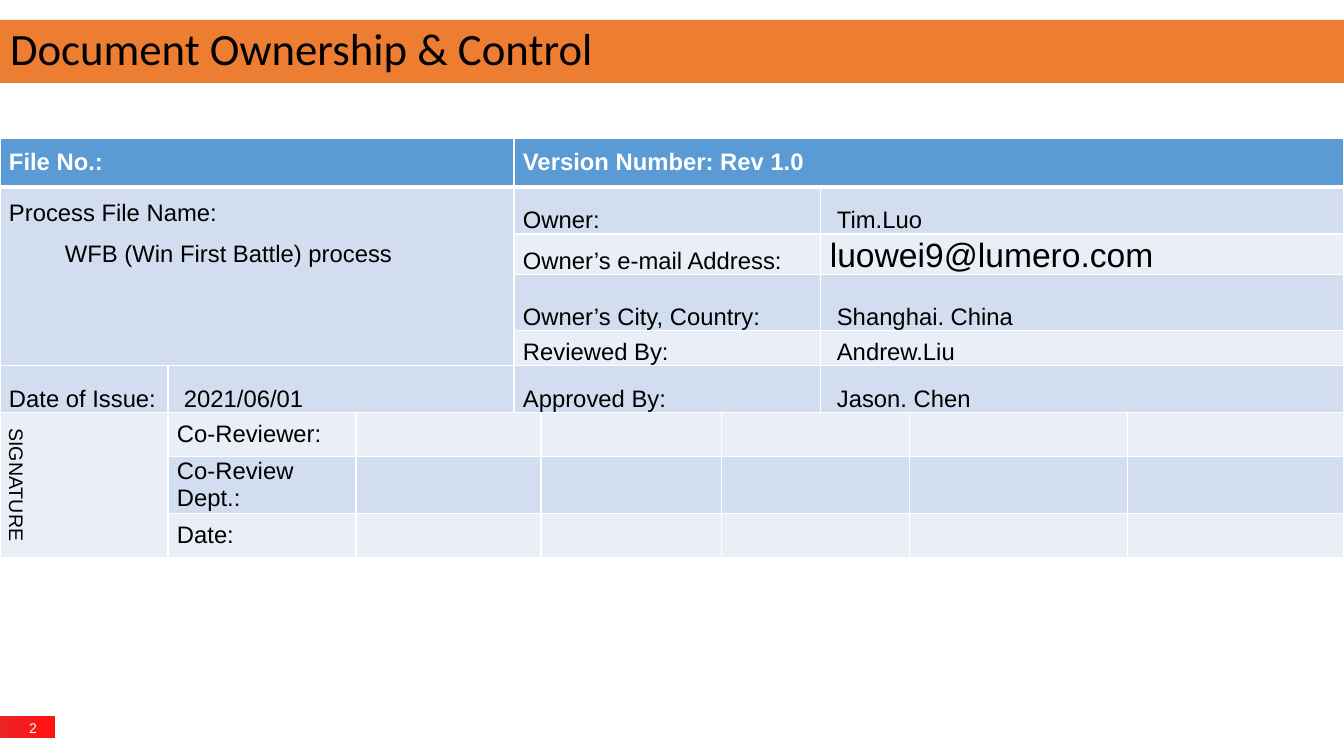
from dataclasses import dataclass
from lxml import etree
from pptx import Presentation
from pptx.dml.color import RGBColor
from pptx.enum.shapes import MSO_SHAPE
from pptx.enum.text import MSO_ANCHOR, MSO_AUTO_SIZE, PP_ALIGN
from pptx.oxml.ns import qn
from pptx.util import Pt

PX = 12192000 / 1344


@dataclass
class Theme:
    orange: str = "ED7D31"
    reds: tuple = ("EC2225", "FF1313")
    head: str = "5B9BD5"
    bands: tuple = ("EAEFF7", "D2DEEF")
    white: str = "FFFFFF"
    black: str = "000000"
    title: int = 32
    mail: int = 24
    body: int = 17
    side: int = 14
    page: int = 10


def px(n):
    return round(n * PX)


def write(para, text, size, color, font="Arial", bold=False):
    run = para.add_run()
    run.text = text
    run.font.size = Pt(size)
    run.font.name = font
    run.font.bold = bold
    run.font.color.rgb = RGBColor.from_string(color)


theme = Theme()
deck = Presentation()
deck.slide_width, deck.slide_height = px(1344), px(756)
slide = deck.slides.add_slide(deck.slide_layouts[5])
shapes = slide.shapes

# Title on its orange bar
bar = shapes.add_shape(MSO_SHAPE.RECTANGLE, 0, px(20), px(1344), px(63))
bar.shadow.inherit = False
bar.fill.solid()
bar.fill.fore_color.rgb = RGBColor.from_string(theme.orange)
bar.line.fill.background()
title = shapes.title
title._element.addprevious(bar._element)
title.left, title.top, title.width, title.height = 0, px(22), px(1148), px(58)
frame = title.text_frame
frame.auto_size = MSO_AUTO_SIZE.NONE
frame.vertical_anchor = MSO_ANCHOR.BOTTOM
para = frame.paragraphs[0]
para.alignment = PP_ALIGN.LEFT
para.line_spacing = 0.9
para.space_after = Pt(6)
write(para, "Document Ownership & Control", theme.title, theme.black, "Calibri")

# Page number on its red tab
tab = shapes.add_shape(MSO_SHAPE.RECTANGLE, 0, px(716), px(55), px(22))
tab.shadow.inherit = False
tab.fill.gradient()
tab.fill.gradient_angle = 0
for stop, color in zip(tab.fill.gradient_stops, theme.reds):
    stop.color.rgb = RGBColor.from_string(color)
tab.line.fill.background()
page = shapes.add_textbox(px(11), px(719), px(44), px(17))
frame = page.text_frame
frame.margin_left = frame.margin_right = px(13)
frame.margin_top = frame.margin_bottom = 0
frame.word_wrap = False
frame.vertical_anchor = MSO_ANCHOR.MIDDLE
para = frame.paragraphs[0]
para.alignment = PP_ALIGN.CENTER
write(para, "2", theme.page, theme.white)

# Control table
cols = [168, 188, 158, 27, 181, 99, 89, 218, 216]
rows = [49, 47, 37, 56, 35, 47, 44, 44, 44]
grid = shapes.add_table(len(rows), len(cols), 0, px(138), px(sum(cols)), px(sum(rows))).table
for col, wide in zip(grid.columns, cols):
    col.width = px(wide)
for row, high in zip(grid.rows, rows):
    row.height = px(high)

for r in range(len(rows)):
    for c in range(len(cols)):
        cell = grid.cell(r, c)
        cell.fill.solid()
        cell.fill.fore_color.rgb = RGBColor.from_string(theme.bands[r % 2] if r else theme.head)
        props = cell._tc.get_or_add_tcPr()
        for i, side in enumerate("LRTB"):
            thick = (r, side) in ((0, "B"), (1, "T"))
            line = etree.Element(qn(f"a:ln{side}"), w=str(Pt(3 if thick else 1)))
            fill = etree.SubElement(line, qn("a:solidFill"))
            etree.SubElement(fill, qn("a:srgbClr"), val=theme.white)
            props.insert(i, line)

# Merged areas: first row, first column, last row, last column
spans = [(0, 0, 0, 2), (0, 3, 0, 8), (1, 0, 4, 2), (5, 1, 5, 2), (6, 0, 8, 0)]
spans += [(r, c, r, c + 2) for r in range(1, 6) for c in (3, 6)]
spans += [(r, c, r, c + 1) for r in range(6, 9) for c in (2, 5)]
for top, left, low, right in spans:
    grid.cell(top, left).merge(grid.cell(low, right))

mid, low = MSO_ANCHOR.MIDDLE, MSO_ANCHOR.BOTTOM
near, far = 9, 16
facts = [
    ("Owner:", "Tim.Luo"),
    ("Owner’s e-mail Address:", "luowei9@lumero.com"),
    ("Owner’s City, Country:", "Shanghai. China"),
    ("Reviewed By:", "Andrew.Liu"),
    ("Approved By:", "Jason. Chen"),
]
texts = [
    (0, 0, "File No.:", mid, near),
    (0, 3, "Version Number: Rev 1.0", mid, near),
    (1, 0, "Process File Name:", MSO_ANCHOR.TOP, near),
    (5, 0, "Date of Issue:", low, near),
    (5, 1, "2021/06/01", low, far),
]
for r, (label, value) in enumerate(facts, 1):
    texts += [(r, 3, label, low, near), (r, 6, value, low, near if "@" in value else far)]
for r, label in enumerate(("Co-Reviewer:", "Co-Review Dept.:", "Date:"), 6):
    texts.append((r, 1, label, mid, near))

for r, c, text, anchor, inset in texts:
    cell = grid.cell(r, c)
    cell.vertical_anchor = anchor
    cell.margin_left, cell.margin_right = px(inset), px(near)
    cell.margin_top = cell.margin_bottom = 0
    size = theme.mail if "@" in text else theme.body
    color = theme.black if r else theme.white
    write(cell.text_frame.paragraphs[0], text, size, color, bold=r == 0)

frame = grid.cell(1, 0).text_frame
para = frame.add_paragraph()
para._p.get_or_add_pPr().set("indent", str(px(56)))
write(para, "WFB (Win First Battle) process", theme.body, theme.black)
for para in frame.paragraphs:
    para.line_spacing = 1.5

sign = grid.cell(6, 0)
sign.vertical_anchor = mid
sign._tc.get_or_add_tcPr().set("vert", "vert")
para = sign.text_frame.paragraphs[0]
para.alignment = PP_ALIGN.CENTER
write(para, "SIGNATURE", theme.side, theme.black)

deck.save("out.pptx")
